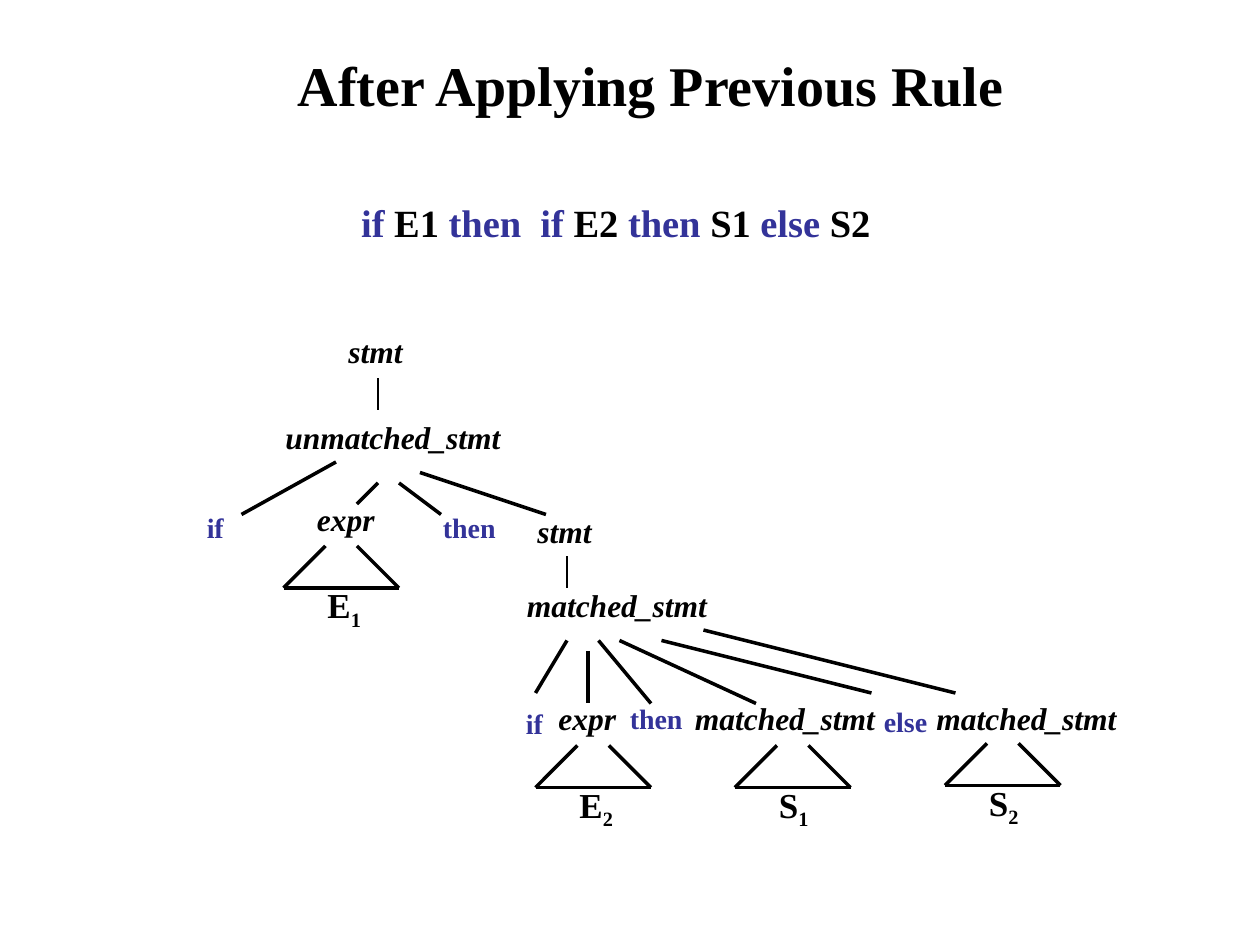
from lxml import etree
from pptx import Presentation
from pptx import util as u
from pptx.dml.color import RGBColor
from pptx.enum import shapes, text
from pptx.oxml.ns import qn

FONT = "Times New Roman"
BLACK = RGBColor(0x00, 0x00, 0x00)
BLUE = RGBColor(0x33, 0x33, 0x99)
GRID = 2.54 / 12  # all places below are in twelfths of an inch

# Content
TITLE = "After Applying Previous Rule"
SENTENCE = [("if ", BLUE), ("E1 ", BLACK), ("then  if ", BLUE), ("E2 ", BLACK),
            ("then ", BLUE), ("S1 ", BLACK), ("else ", BLUE), ("S2", BLACK)]

# Nonterminals: text, left, top, width
NONTERMINALS = [
    ("stmt", 32, 31, 9),
    ("unmatched_stmt", 26, 39.2, 35),
    ("expr", 29, 47, 9),
    ("stmt", 50, 48.2, 9),
    ("matched_stmt", 49, 55.2, 35),
    ("expr", 52, 66, 9),
    ("matched_stmt", 65, 66, 22),
    ("matched_stmt", 88, 66, 22),
]
# Keywords: text, left, top, alignment
LEFT, CENTER = text.PP_ALIGN.LEFT, text.PP_ALIGN.CENTER
KEYWORDS = [
    ("if", 16, 48, CENTER),
    ("then", 41, 48, LEFT),
    ("if", 46.4, 66.7, CENTER),
    ("then", 58.8, 66.2, LEFT),
    ("else", 83, 66.5, LEFT),
]
# Subtrees: letter, subscript, left of base, top
SUBTREES = [("E", "1", 27, 52), ("E", "2", 51, 71),
            ("S", "1", 70, 71), ("S", "2", 90, 70.8)]
# Branches: x1, y1, x2, y2
THIN_BRANCHES = [(36, 36, 36, 39), (54, 53, 54, 56)]
BRANCHES = [
    (32, 44, 23, 49), (36, 46, 34, 48), (38, 46, 42, 49), (40, 45, 52, 49),
    (54, 61, 51, 66), (56, 62, 56, 67), (57, 61, 62, 67),
    (59, 61, 72, 67), (63, 61, 83, 66), (67, 60, 91, 66),
]


def grid(value):
    return u.Cm(value * GRID)


def add_text(slide, runs, box, size, align=LEFT, italic=False, wrap=True):
    """Add one bold line; runs are (text, colour, baseline percent)."""
    shape = slide.shapes.add_textbox(*map(grid, box))
    frame = shape.text_frame
    frame.word_wrap = wrap
    paragraph = frame.paragraphs[0]
    paragraph.alignment = align
    font = paragraph.font
    font.name, font.size, font.bold, font.italic = FONT, u.Pt(size), True, italic
    for content, colour, baseline in runs:
        run = paragraph.add_run()
        run.text = content
        run.font.color.rgb = colour
        if baseline:
            run._r.get_or_add_rPr().set("baseline", str(baseline * 1000))
    return frame


def add_line(slide, ends, width=2):
    line = slide.shapes.add_connector(
        shapes.MSO_CONNECTOR.STRAIGHT, *map(grid, ends))
    line.line.color.rgb = BLACK
    line.line.width = u.Pt(width)
    etree.SubElement(line._element.spPr, qn("a:effectLst"))


def add_subtree(slide, letter, subscript, left, top):
    bottom, right = top + 4, left + 11
    add_line(slide, (left + 4, top, left, bottom))
    add_line(slide, (right - 4, top, right, bottom))
    add_line(slide, (left, bottom, right, bottom))
    add_text(slide, [(letter, BLACK, 0), (subscript, BLACK, -25)],
             (left + 3, top + 3, 6, 5.8), 20)


def main():
    presentation = Presentation()
    presentation.slide_width, presentation.slide_height = u.Cm(25.4), u.Cm(19.05)
    slide = presentation.slides.add_slide(presentation.slide_layouts[6])

    # Title and sentence
    title = add_text(slide, [(TITLE, BLACK, 0)], (8, 5, 108, 6), 32, CENTER)
    title.vertical_anchor = text.MSO_ANCHOR.MIDDLE
    add_text(slide, [(word, colour, 0) for word, colour in SENTENCE],
             (33.2, 18.4, 50.9, 5.6), 22, CENTER, wrap=False)

    # Tree branches
    for ends in BRANCHES:
        add_line(slide, ends)
    for ends in THIN_BRANCHES:
        add_line(slide, ends, 0.75)

    # Tree nodes
    for name, left, top, width in NONTERMINALS:
        add_text(slide, [(name, BLACK, 0)], (left, top, width, 4.8), 18, italic=True)
    for word, left, top, align in KEYWORDS:
        add_text(slide, [(word, BLUE, 0)], (left, top, 9, 4.4), 16, align)
    for subtree in SUBTREES:
        add_subtree(slide, *subtree)

    presentation.save("out.pptx")


if __name__ == "__main__":
    main()
